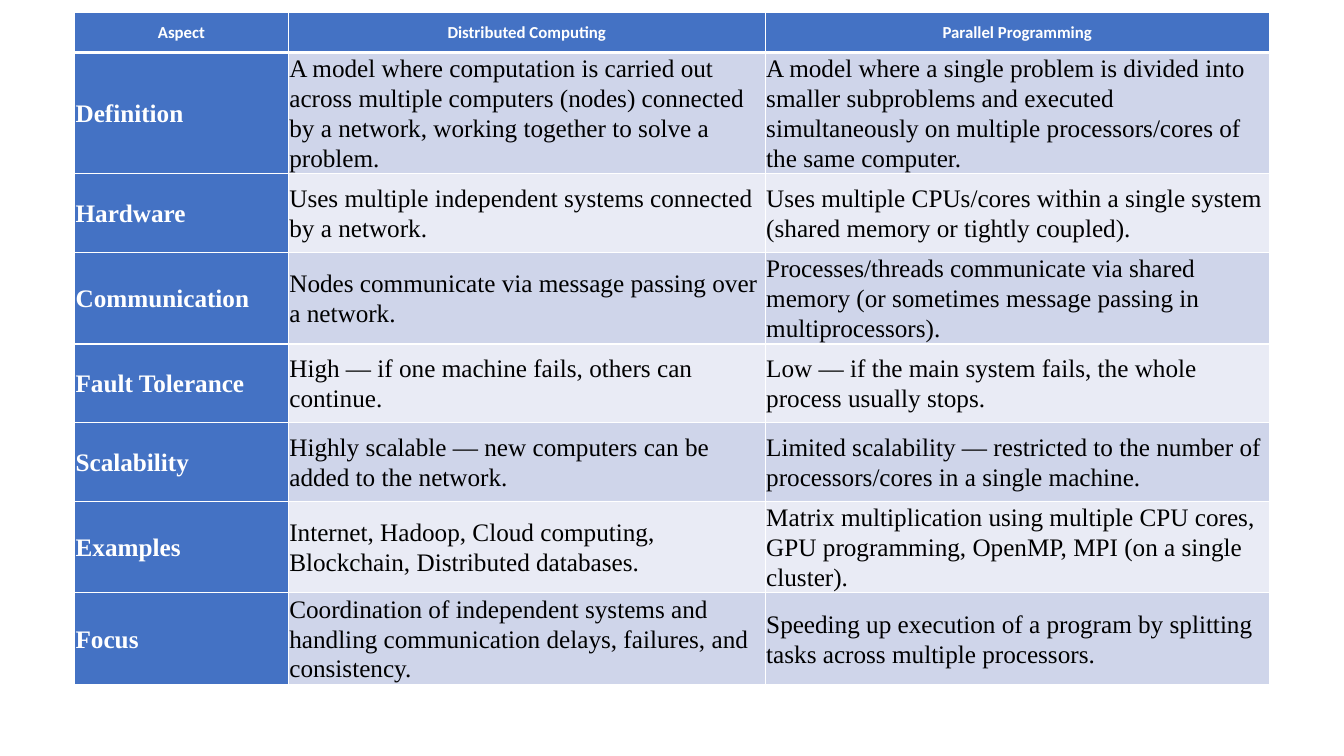
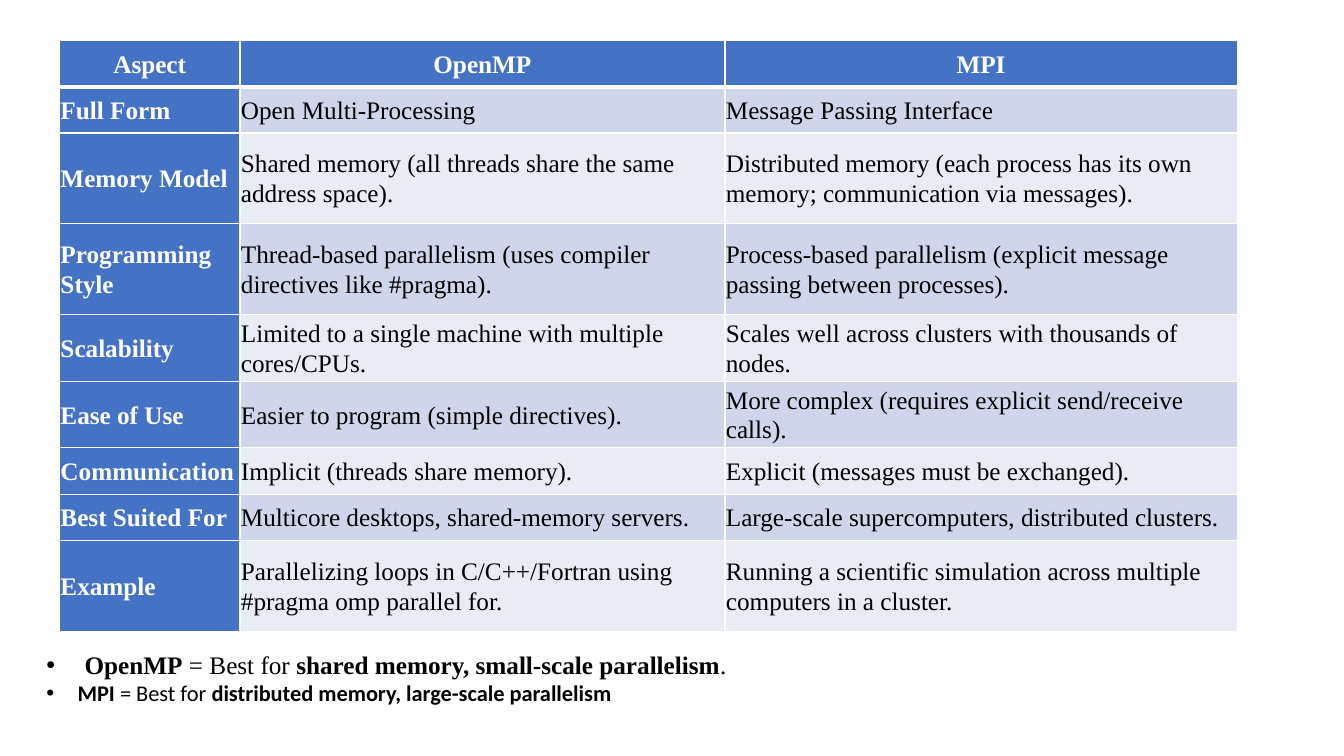
import pptx
import pptx.dml.color
import pptx.enum.text
import pptx.oxml
import pptx.oxml.ns
import pptx.util

Inches = pptx.util.Inches
Pt = pptx.util.Pt
Align = pptx.enum.text.PP_ALIGN

COLORS = {
    "header": "4472C4",
    "band_dark": "CFD5EA",
    "band_light": "E9EBF5",
    "rule": "FFFFFF",
    "light_text": "FFFFFF",
    "dark_text": "000000",
}
SERIF = {"name": "Times New Roman", "size": Pt(18)}
SMALL_SANS = {"name": "Calibri", "size": Pt(12)}
NOTE_SANS = {"name": "Calibri", "size": Pt(16)}
CELL_FORMAT = {
    "margin_left": Inches(0.01),
    "margin_right": Inches(0.01),
    "margin_top": Inches(0.01),
    "margin_bottom": Inches(0.01),
    "vertical_anchor": pptx.enum.text.MSO_ANCHOR.MIDDLE,
}
CELL_PARA = {"line_spacing": 1.07, "space_after": Pt(8)}
NOTE_PARA = {
    "alignment": Align.LEFT,
    "line_spacing": 1.0,
    "space_before": Pt(0),
    "space_after": Pt(0),
}
THIN, THICK = 1, 3

PARADIGMS = [
    ("Aspect", "Distributed Computing", "Parallel Programming"),
    ("Definition",
     "A model where computation is carried out across multiple computers (nodes) "
     "connected by a network, working together to solve a problem.",
     "A model where a single problem is divided into smaller subproblems and executed "
     "simultaneously on multiple processors/cores of the same computer."),
    ("Hardware",
     "Uses multiple independent systems connected by a network.",
     "Uses multiple CPUs/cores within a single system (shared memory or tightly coupled)."),
    ("Communication",
     "Nodes communicate via message passing over a network.",
     "Processes/threads communicate via shared memory (or sometimes message passing in "
     "multiprocessors)."),
    ("Fault Tolerance",
     "High — if one machine fails, others can continue.",
     "Low — if the main system fails, the whole process usually stops."),
    ("Scalability",
     "Highly scalable — new computers can be added to the network.",
     "Limited scalability — restricted to the number of processors/cores in a single machine."),
    ("Examples",
     "Internet, Hadoop, Cloud computing, Blockchain, Distributed databases.",
     "Matrix multiplication using multiple CPU cores, GPU programming, OpenMP, MPI "
     "(on a single cluster)."),
    ("Focus",
     "Coordination of independent systems and handling communication delays, failures, "
     "and consistency.",
     "Speeding up execution of a program by splitting tasks across multiple processors."),
]
LIBRARIES = [
    ("Aspect", "OpenMP", "MPI"),
    ("Full Form", "Open Multi-Processing", "Message Passing Interface"),
    ("Memory Model",
     "Shared memory (all threads share the same address space).",
     "Distributed memory (each process has its own memory; communication via messages)."),
    ("Programming Style",
     "Thread-based parallelism (uses compiler directives like #pragma).",
     "Process-based parallelism (explicit message passing between processes)."),
    ("Scalability",
     "Limited to a single machine with multiple cores/CPUs.",
     "Scales well across clusters with thousands of nodes."),
    ("Ease of Use",
     "Easier to program (simple directives).",
     "More complex (requires explicit send/receive calls)."),
    ("Communication",
     "Implicit (threads share memory).",
     "Explicit (messages must be exchanged)."),
    ("Best Suited For",
     "Multicore desktops, shared-memory servers.",
     "Large-scale supercomputers, distributed clusters."),
    ("Example",
     "Parallelizing loops in C/C++/Fortran using #pragma omp parallel for.",
     "Running a scientific simulation across multiple computers in a cluster."),
]
TAKEAWAYS = [
    (SERIF, 0.38, [("OpenMP", True), (" = Best for ", False),
                   ("shared memory, small-scale parallelism", True), (".", False)]),
    (NOTE_SANS, 0.31, [("MPI", True), (" = Best for ", False),
                       ("distributed memory, large-scale parallelism", True)]),
]


def apply(target, values):
    for name, value in values.items():
        setattr(target, name, value)


def rgb(color):
    return pptx.dml.color.RGBColor.from_string(COLORS[color])


def add_span(para, text, font, bold, color):
    span = para.add_run()
    span.text = text
    apply(span.font, {**font, "bold": bold})
    span.font.color.rgb = rgb(color)


def set_borders(cell, widths):
    properties = cell._tc.get_or_add_tcPr()
    for side, width in widths.items():
        properties.append(pptx.oxml.parse_xml(
            f'<a:ln{side} {pptx.oxml.ns.nsdecls("a")} w="{Pt(width)}">'
            f'<a:solidFill><a:srgbClr val="{COLORS["rule"]}"/></a:solidFill>'
            f'</a:ln{side}>'))


def fill_cell(cell, text, row, column, font):
    heading = row == 0 or column == 0
    band = "band_dark" if row % 2 else "band_light"
    apply(cell, CELL_FORMAT)
    set_borders(cell, {
        "L": THIN,
        "R": THIN,
        "T": THICK if row == 1 else THIN,
        "B": THICK if row == 0 else THIN,
    })
    cell.fill.solid()
    cell.fill.fore_color.rgb = rgb("header" if heading else band)
    para = cell.text_frame.paragraphs[0]
    apply(para, {**CELL_PARA, "alignment": Align.LEFT if row else Align.CENTER})
    add_span(para, text, font, heading, "light_text" if heading else "dark_text")


def add_comparison(page, left, top, widths, heights, rows, header_font):
    table = page.shapes.add_table(
        len(rows), len(widths), Inches(left), Inches(top),
        Inches(sum(widths)), Inches(sum(heights))).table
    apply(table, {"first_col": True, "horz_banding": False})
    for column, width in zip(table.columns, widths):
        column.width = Inches(width)
    for line, height in zip(table.rows, heights):
        line.height = Inches(height)
    for row, texts in enumerate(rows):
        for column, text in enumerate(texts):
            fill_cell(table.cell(row, column), text, row, column,
                      SERIF if row else header_font)


def set_bullet(para, indent):
    properties = para._p.get_or_add_pPr()
    properties.set("marL", str(Inches(indent)))
    properties.set("indent", str(-Inches(indent)))
    for tag, name, value in (("buFont", "typeface", "Arial"), ("buChar", "char", "•")):
        properties.append(pptx.oxml.parse_xml(
            f'<a:{tag} {pptx.oxml.ns.nsdecls("a")} {name}="{value}"/>'))


def fill_takeaways(box, left, top, width, height):
    apply(box, {"left": Inches(left), "top": Inches(top),
                "width": Inches(width), "height": Inches(height)})
    frame = box.text_frame
    apply(frame, {"word_wrap": True,
                  "auto_size": pptx.enum.text.MSO_AUTO_SIZE.SHAPE_TO_FIT_TEXT,
                  "vertical_anchor": pptx.enum.text.MSO_ANCHOR.TOP})
    for index, (font, indent, spans) in enumerate(TAKEAWAYS):
        para = frame.add_paragraph() if index else frame.paragraphs[0]
        apply(para, NOTE_PARA)
        set_bullet(para, indent)
        for text, bold in spans:
            add_span(para, text, font, bold, "dark_text")


def add_paradigm_page(deck):
    page = deck.slides.add_slide(deck.slide_layouts[6])
    add_comparison(page, 0.74, 0.12, [2.12, 4.73, 5], [0.4, 1.16] + [0.78] * 6,
                   PARADIGMS, SMALL_SANS)


def add_library_page(deck):
    page = deck.slides.add_slide(deck.slide_layouts[1])
    title = page.shapes.title
    title.element.getparent().remove(title.element)
    short, tall = 0.46, 0.9
    heights = [short] * 2 + [tall] * 2 + [short] * 4 + [tall]
    add_comparison(page, 0.59, 0.4, [1.79, 4.81, 5.08], heights, LIBRARIES, SERIF)
    fill_takeaways(page.placeholders[1], 0.36, 6.39, 9.83, 0.67)


def main():
    deck = pptx.Presentation()
    apply(deck, {"slide_width": Inches(13.33), "slide_height": Inches(7.5)})
    add_paradigm_page(deck)
    add_library_page(deck)
    deck.save("out.pptx")


if __name__ == "__main__":
    main()
